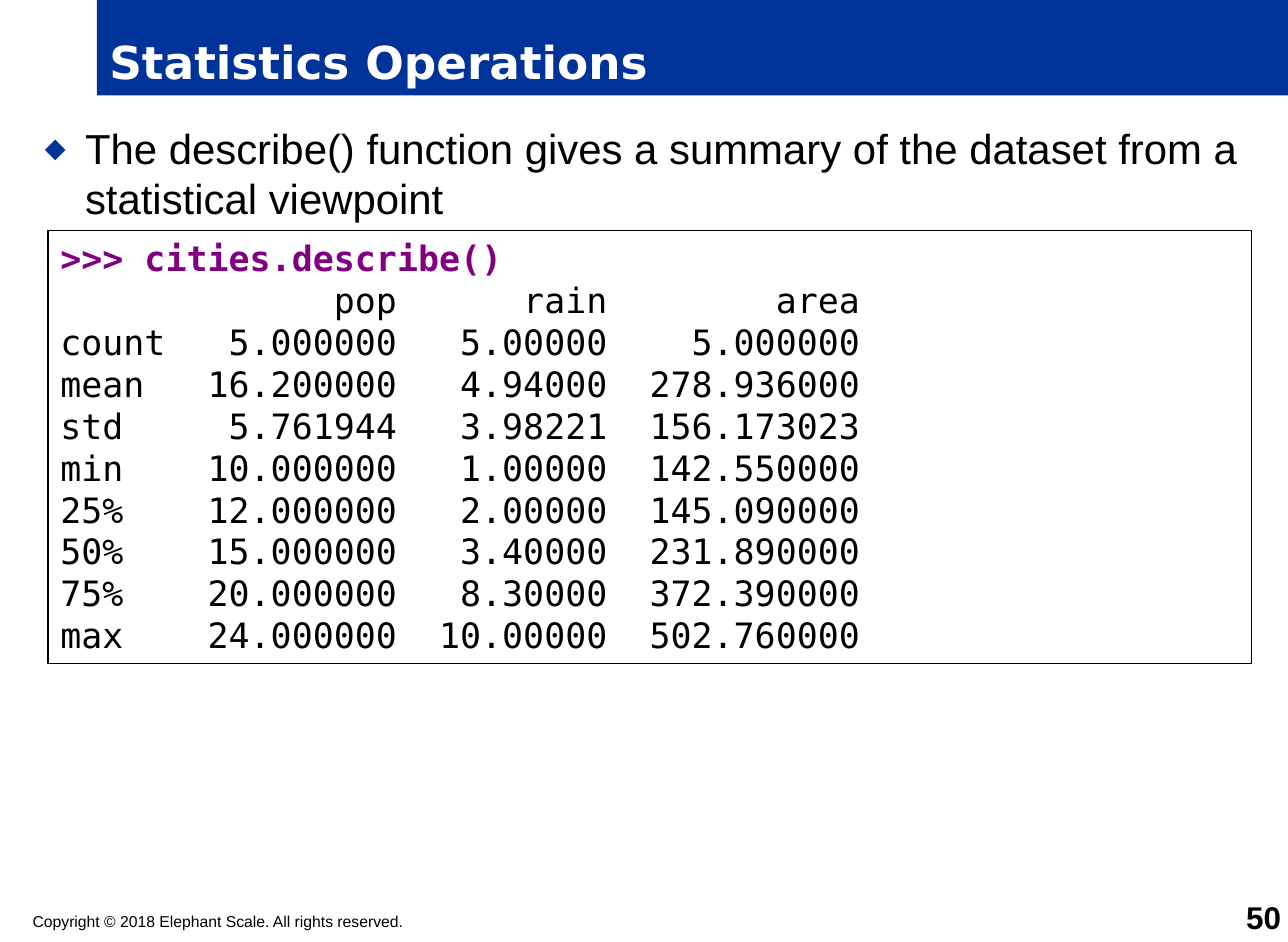
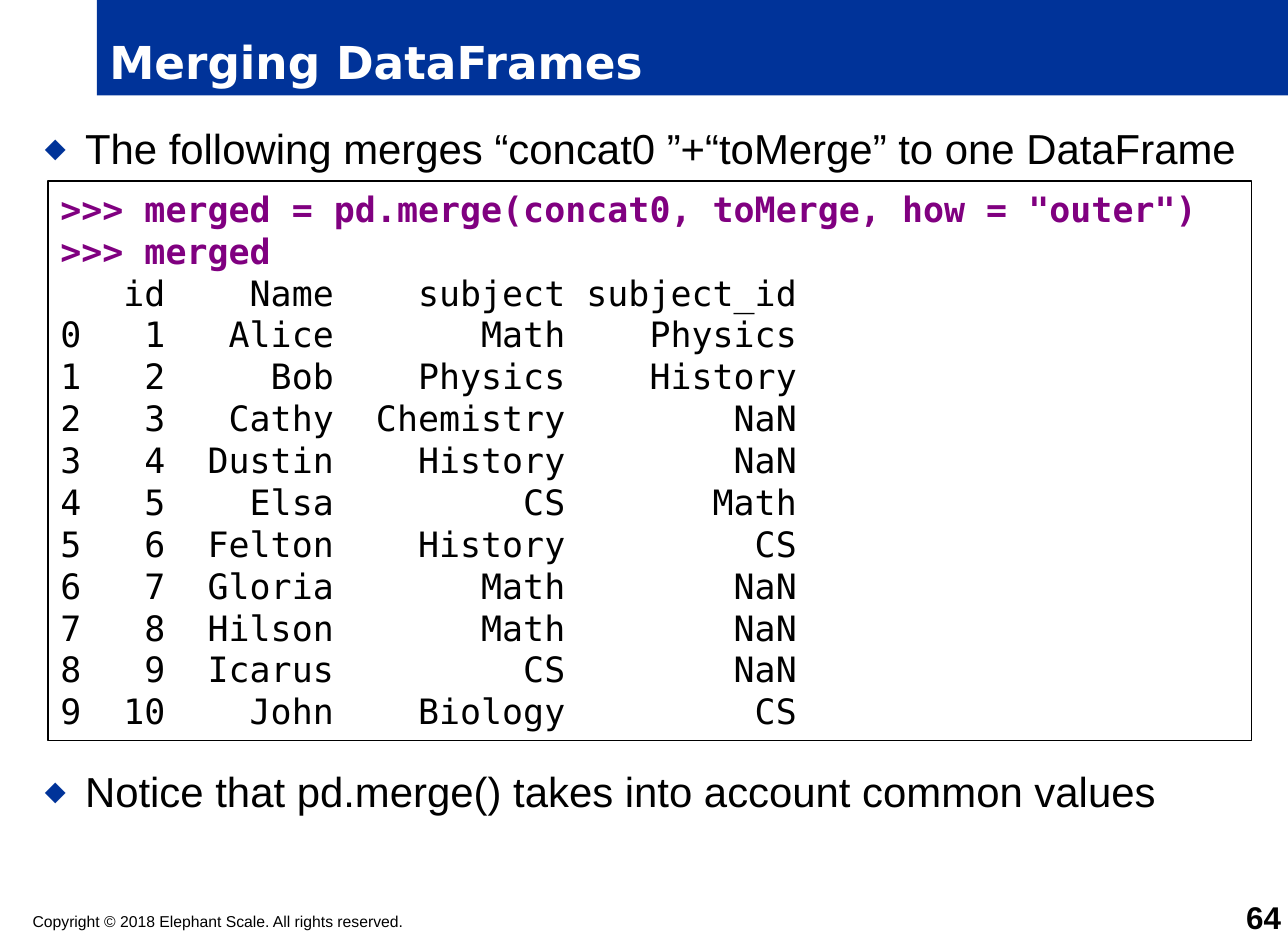
"""Builds two slides on pandas statistics and merging."""
import pptx
import pptx.dml.color
import pptx.enum.shapes
import pptx.enum.text
import pptx.oxml.ns
import pptx.util
from lxml import etree

Cm, Pt = pptx.util.Cm, pptx.util.Pt
ALIGN = pptx.enum.text.PP_ALIGN
ANCHOR = pptx.enum.text.MSO_ANCHOR
RECT = pptx.enum.shapes.MSO_SHAPE.RECTANGLE

COLORS = {"blue": "003399", "purple": "800080", "black": "000000", "white": "FFFFFF"}
SANS, HEAD, MONO = "Arial", "DejaVu Sans", "DejaVu Sans Mono"
COPYRIGHT = "Copyright © 2018 Elephant Scale. All rights reserved."
PROMPT = ">>>"
WIDTH, HEIGHT = 26.04, 19.05
INSETS = (0.25, 0.13)
CODE_LINE = 0.85

SLIDES = [
    {
        "title": "Statistics Operations",
        "number": "50",
        "bullets": [(2.36, "The describe() function gives a summary of the dataset "
                           "from a statistical viewpoint")],
        "code_top": 4.66,
        "code": [
            ">>> cities.describe()",
            "             pop      rain        area",
            "count   5.000000   5.00000    5.000000",
            "mean   16.200000   4.94000  278.936000",
            "std     5.761944   3.98221  156.173023",
            "min    10.000000   1.00000  142.550000",
            "25%    12.000000   2.00000  145.090000",
            "50%    15.000000   3.40000  231.890000",
            "75%    20.000000   8.30000  372.390000",
            "max    24.000000  10.00000  502.760000",
        ],
    },
    {
        "title": "Merging DataFrames",
        "number": "64",
        "bullets": [
            (2.36, "The following merges “concat0 ”+“toMerge” to one DataFrame"),
            (15.37, "Notice that pd.merge() takes into account common values"),
        ],
        "code_top": 3.66,
        "code": [
            '>>> merged = pd.merge(concat0, toMerge, how = "outer")',
            ">>> merged",
            "   id    Name    subject subject_id",
            "0   1   Alice       Math    Physics",
            "1   2     Bob    Physics    History",
            "2   3   Cathy  Chemistry        NaN",
            "3   4  Dustin    History        NaN",
            "4   5    Elsa         CS       Math",
            "5   6  Felton    History         CS",
            "6   7  Gloria       Math        NaN",
            "7   8  Hilson       Math        NaN",
            "8   9  Icarus         CS        NaN",
            "9  10    John    Biology         CS",
        ],
    },
]


def rgb(name):
    """Return a palette colour."""
    return pptx.dml.color.RGBColor.from_string(COLORS[name])


def set_frame(sp, insets, anchor=ANCHOR.TOP, wrap=True):
    """Set margins, anchor and wrapping, and return the text frame."""
    tf = sp.text_frame
    tf.auto_size = pptx.enum.text.MSO_AUTO_SIZE.NONE
    tf.word_wrap = wrap
    tf.vertical_anchor = anchor
    tf.margin_left = tf.margin_right = Cm(insets[0])
    tf.margin_top = tf.margin_bottom = Cm(insets[1])
    return tf


def write(p, text, font, size, color="black", bold=False, align=ALIGN.LEFT):
    """Fill a paragraph and format its runs."""
    p.text = text
    p.alignment = align
    for r in p.runs:
        r.font.name, r.font.size, r.font.bold = font, Pt(size), bold
        r.font.color.rgb = rgb(color)


def add_text(slide, box, text, size, insets=(0, 0), anchor=ANCHOR.TOP, **style):
    """Add a text box with one paragraph and return the paragraph."""
    sp = slide.shapes.add_textbox(*map(Cm, box))
    p = set_frame(sp, insets, anchor).paragraphs[0]
    write(p, text, SANS, size, **style)
    return p


def add_title(slide, text):
    """Turn the title placeholder into the blue band."""
    sp = slide.shapes.title
    sp.left, sp.top, sp.width, sp.height = map(Cm, (1.96, 0, WIDTH - 1.96, 1.93))
    sp.fill.solid()
    sp.fill.fore_color.rgb = rgb("blue")
    tf = set_frame(sp, INSETS, ANCHOR.BOTTOM)
    write(tf.paragraphs[0], text, HEAD, 26, "white", True)


def add_bullet(slide, top, text):
    """Add a paragraph with a diamond bullet."""
    p = add_text(slide, (0.66, top, 24.74, 2.6), text, 24, INSETS)
    pPr = p._p.get_or_add_pPr()
    pPr.set("marL", str(Cm(0.81)))
    pPr.set("indent", str(-Cm(0.81)))
    qn = pptx.oxml.ns.qn
    color = etree.SubElement(pPr, qn("a:buClr"))
    etree.SubElement(color, qn("a:srgbClr"), val=COLORS["blue"])
    etree.SubElement(pPr, qn("a:buSzPct"), val="65000")
    etree.SubElement(pPr, qn("a:buFont"), typeface=HEAD)
    etree.SubElement(pPr, qn("a:buChar"), char="◆")
    p.line_spacing = Pt(28.6)


def add_code(slide, top, lines):
    """Add the bordered console box, prompts in purple."""
    height = len(lines) * CODE_LINE + 2 * INSETS[1]
    sp = slide.shapes.add_shape(RECT, Cm(0.97), Cm(top), Cm(24.33), Cm(height))
    sp.shadow.inherit = False
    sp.fill.solid()
    sp.fill.fore_color.rgb = rgb("white")
    sp.line.color.rgb = rgb("black")
    sp.line.width = Pt(0.75)
    tf = set_frame(sp, INSETS, wrap=False)
    for i, line in enumerate(lines):
        p = tf.add_paragraph() if i else tf.paragraphs[0]
        typed = line.startswith(PROMPT)
        write(p, line, MONO, 20, "purple" if typed else "black", typed)
        p.line_spacing = Pt(24)


def main():
    """Build and save the presentation."""
    prs = pptx.Presentation()
    prs.slide_width, prs.slide_height = Cm(WIDTH), Cm(HEIGHT)
    for content in SLIDES:
        slide = prs.slides.add_slide(prs.slide_layouts[5])
        add_title(slide, content["title"])
        for top, text in content["bullets"]:
            add_bullet(slide, top, text)
        add_text(slide, (0.66, 18.44, 15.11, 0.38), COPYRIGHT, 9)
        add_text(slide, (24.38, 18.29, 1.52, 0.64), content["number"], 18,
                 anchor=ANCHOR.BOTTOM, bold=True, align=ALIGN.RIGHT)
        add_code(slide, content["code_top"], content["code"])
    prs.save("out.pptx")


if __name__ == "__main__":
    main()
